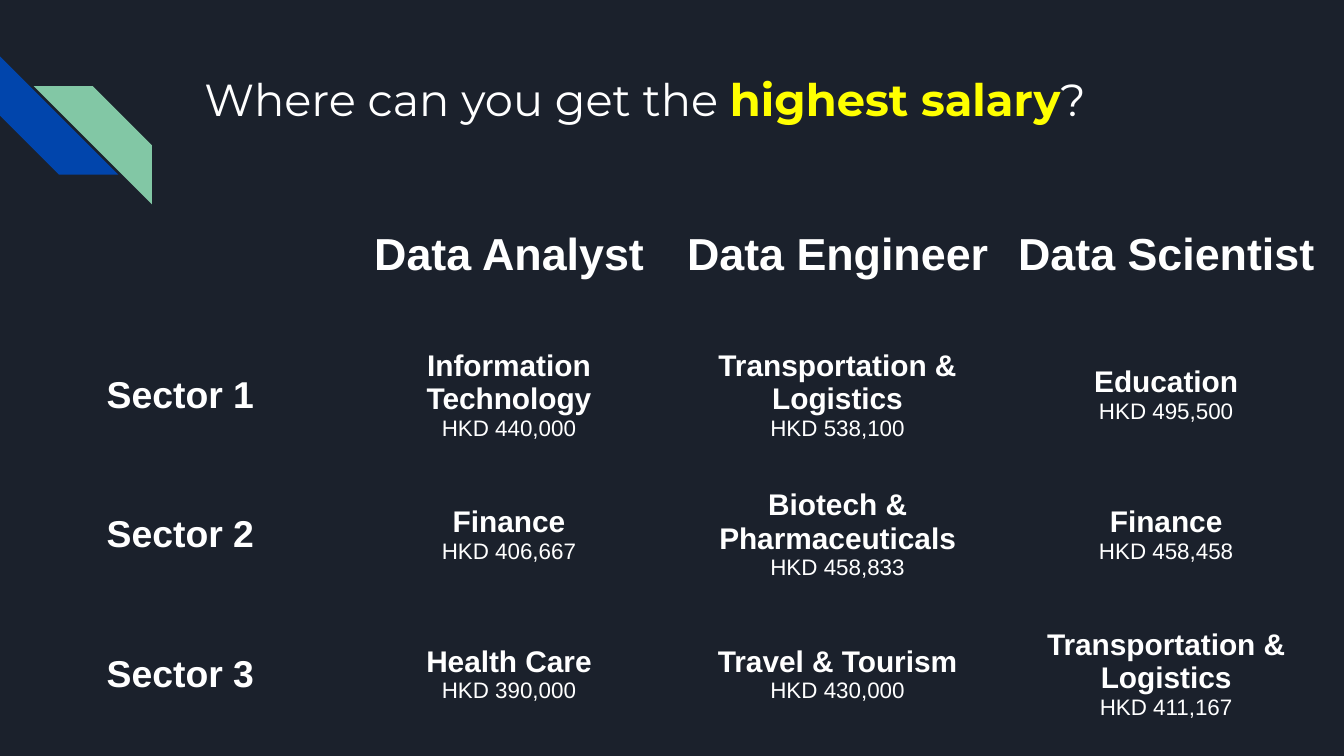
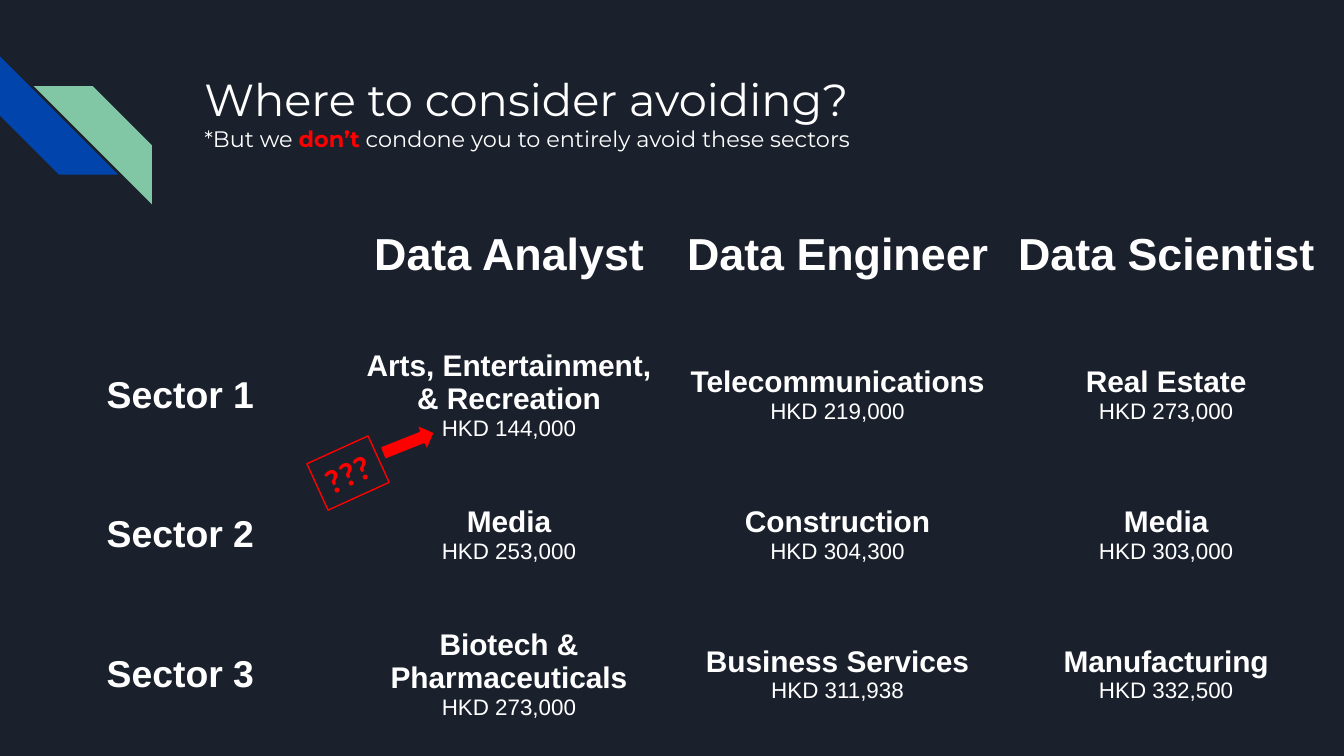
from dataclasses import dataclass
from lxml import etree
from pptx import Presentation
from pptx.dml.color import RGBColor
from pptx.enum.shapes import MSO_SHAPE
from pptx.enum.text import MSO_ANCHOR, MSO_AUTO_SIZE, PP_ALIGN
from pptx.oxml.ns import qn
from pptx.util import Inches, Pt

STRIPE, RECT, ARROW = MSO_SHAPE.DIAGONAL_STRIPE, MSO_SHAPE.RECTANGLE, MSO_SHAPE.RIGHT_ARROW
TOP, MIDDLE = MSO_ANCHOR.TOP, MSO_ANCHOR.MIDDLE
LEFT, CENTER = PP_ALIGN.LEFT, PP_ALIGN.CENTER
FIXED = MSO_AUTO_SIZE.NONE


@dataclass(frozen=True)
class Theme:
    back: str = "1B212C"
    text: str = "FFFFFF"
    blue: str = "0145AC"
    green: str = "82C7A5"
    gold: str = "FFFF00"
    red: str = "FF0000"
    title_font: str = "Montserrat"
    body_font: str = "Arial"
    mark_font: str = "Calibri"
    head: int = 24
    row: int = 20
    mark: int = 18
    name: int = 16
    small: int = 12


T = Theme()

ROLES = ["Data Analyst", "Data Engineer", "Data Scientist"]

SLIDES = [
    {
        "title": [
            (T.head, [("Where can you get the ", None), ("highest salary", T.gold), ("?", None)]),
        ],
        "sectors": [
            [("Information Technology", "440,000"), ("Transportation & Logistics", "538,100"),
             ("Education", "495,500")],
            [("Finance", "406,667"), ("Biotech & Pharmaceuticals", "458,833"),
             ("Finance", "458,458")],
            [("Health Care", "390,000"), ("Travel & Tourism", "430,000"),
             ("Transportation & Logistics", "411,167")],
        ],
        "mark": None,
    },
    {
        "title": [
            (T.head, [("Where to consider avoiding?", None)]),
            (T.small, [("*But we ", None), ("don’t", T.red),
                       (" condone you to entirely avoid these sectors", None)]),
        ],
        "sectors": [
            [("Arts, Entertainment, & Recreation", "144,000"), ("Telecommunications", "219,000"),
             ("Real Estate", "273,000")],
            [("Media", "253,000"), ("Construction", "304,300"), ("Media", "303,000")],
            [("Biotech & Pharmaceuticals", "273,000"), ("Business Services", "311,938"),
             ("Manufacturing", "332,500")],
        ],
        "mark": "???",
    },
]


def rgb(code):
    return RGBColor.from_string(code)


def write(para, text, *, size, font=T.body_font, color=T.text, bold=False, align=CENTER):
    para.alignment = align
    run = para.add_run()
    run.text = text
    run.font.size = Pt(size)
    run.font.name = font
    run.font.bold = bold
    run.font.color.rgb = rgb(color)


def inset(frame, side, end):
    frame.margin_left = frame.margin_right = Inches(side)
    frame.margin_top = frame.margin_bottom = Inches(end)


def draw(slide, kind, box, fill, line=None, width=1, turn=0):
    shape = slide.shapes.add_shape(kind, *map(Inches, box))
    shape.shadow.inherit = False
    shape.rotation = turn
    shape.fill.solid()
    shape.fill.fore_color.rgb = rgb(fill)
    if line:
        shape.line.color.rgb = rgb(line)
        shape.line.width = Pt(width)
    else:
        shape.line.fill.background()
    return shape


def add_stripes(slide):
    draw(slide, STRIPE, (0, 0.42, 0.88, 0.88), T.blue, turn=270)
    green = draw(slide, STRIPE, (0.25, 0.64, 0.88, 0.88), T.green)
    green._element.spPr.find(qn("a:xfrm")).set("flipH", "1")


def add_title(slide, lines):
    title = slide.shapes.title
    title.left, title.top, title.width, title.height = map(Inches, (1.42, 0.43, 7.7, 1))
    frame = title.text_frame
    frame.auto_size = FIXED
    frame.word_wrap = True
    frame.vertical_anchor = TOP
    inset(frame, 0.1, 0.1)
    for i, (size, runs) in enumerate(lines):
        para = frame.add_paragraph() if i else frame.paragraphs[0]
        for text, color in runs:
            write(para, text, size=size, font=T.title_font, color=color or T.text,
                  bold=bool(color), align=LEFT)


def clear(cell):
    props = cell._tc.get_or_add_tcPr()
    for side in ("lnL", "lnR", "lnT", "lnB"):
        edge = etree.SubElement(props, qn(f"a:{side}"))
        etree.SubElement(edge, qn("a:noFill"))
    cell.fill.background()


def add_grid(slide, sectors):
    rows = [[[]] + [[(role, T.head, True)] for role in ROLES]]
    for i, picks in enumerate(sectors, 1):
        rows.append([[(f"Sector {i}", T.row, True)]] + [
            [(name, T.name, True), (f"HKD {pay}", T.small, False)] for name, pay in picks])
    count, cols = len(rows), len(rows[0])
    table = slide.shapes.add_table(count, cols, Inches(0.12), Inches(1.38),
                                   Inches(9.78), Inches(1.04 * count)).table
    table.first_row = table.horz_banding = False
    for r, row in enumerate(rows):
        for c, lines in enumerate(row):
            cell = table.cell(r, c)
            clear(cell)
            cell.vertical_anchor = MIDDLE
            inset(cell, 0.1, 0.1)
            frame = cell.text_frame
            for i, (text, size, bold) in enumerate(lines):
                para = frame.add_paragraph() if i else frame.paragraphs[0]
                write(para, text, size=size, bold=bold)


def add_mark(slide, text):
    box = draw(slide, RECT, (2.34, 3.33, 0.5, 0.38), T.back, T.red, 0.75, 335.5)
    frame = box.text_frame
    frame.word_wrap = False
    frame.vertical_anchor = TOP
    inset(frame, 0.07, 0.04)
    write(frame.paragraphs[0], text, size=T.mark, font=T.mark_font, color=T.red,
          bold=True, align=LEFT)
    draw(slide, ARROW, (2.83, 3.19, 0.42, 0.21), T.red, T.back, 1, 338.3)


def main():
    deck = Presentation()
    deck.slide_width = Inches(10)
    deck.slide_height = deck.slide_width * 9 // 16
    fill = deck.slide_master.background.fill
    fill.solid()
    fill.fore_color.rgb = rgb(T.back)
    for data in SLIDES:
        slide = deck.slides.add_slide(deck.slide_layouts[5])
        add_stripes(slide)
        add_title(slide, data["title"])
        add_grid(slide, data["sectors"])
        if data["mark"]:
            add_mark(slide, data["mark"])
    deck.save("out.pptx")


if __name__ == "__main__":
    main()
